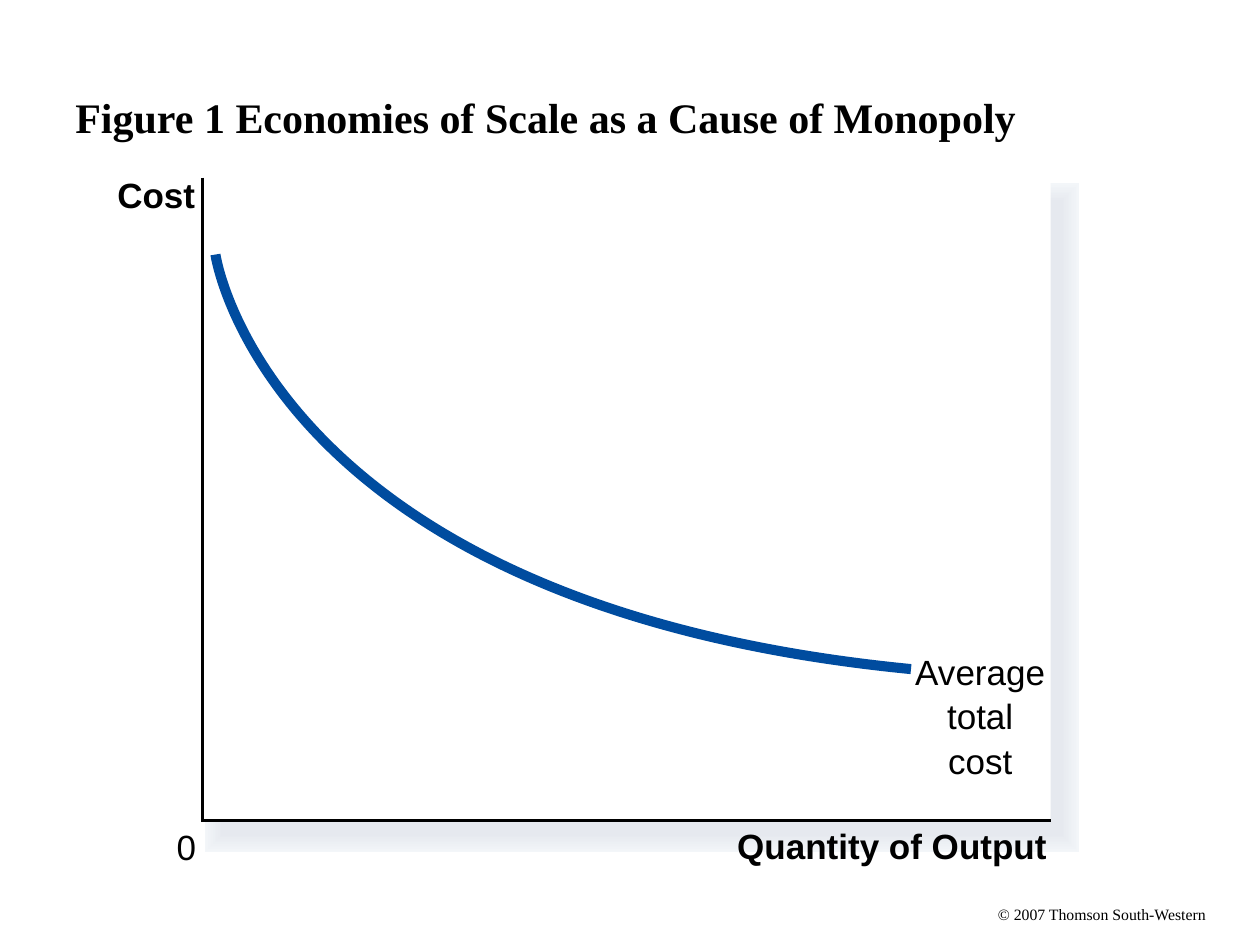
import pptx
import pptx.util
import pptx.dml.color
import pptx.enum.shapes
import pptx.enum.text
import pptx.oxml
import pptx.oxml.ns

Inches = pptx.util.Inches
Pt = pptx.util.Pt
RGBColor = pptx.dml.color.RGBColor
qn = pptx.oxml.ns.qn

BLACK = RGBColor(0x00, 0x00, 0x00)
WHITE = RGBColor(0xFF, 0xFF, 0xFF)
BLUE = RGBColor(0x00, 0x4C, 0x9F)
SHADOW_OUTER = RGBColor(0xF3, 0xF6, 0xF9)
SHADOW_INNER = RGBColor(0xE6, 0xE9, 0xEF)
SHADOW_STEPS = 11


def add_text(slide, box, text, size, font="Arial", bold=False, align="CENTER"):
    """Unwrapped single-line label without insets."""
    s = slide.shapes.add_textbox(*map(Inches, box))
    tf = s.text_frame
    tf.margin_left = tf.margin_right = tf.margin_top = tf.margin_bottom = 0
    tf.word_wrap = False
    tf.text = text
    p = tf.paragraphs[0]
    p.alignment = getattr(pptx.enum.text.PP_ALIGN, align)
    r = p.runs[0]
    r.font.name, r.font.size, r.font.bold = font, Pt(size), bold
    r.font.color.rgb = BLACK
    return s


def add_rect(slide, box, fill, line_width=0):
    s = slide.shapes.add_shape(pptx.enum.shapes.MSO_SHAPE.RECTANGLE, *map(Inches, box))
    s.shadow.inherit = False
    s.fill.solid()
    s.fill.fore_color.rgb = fill
    if line_width:
        set_line(s, fill, line_width)
    else:
        s.line.fill.background()
    return s


def set_line(s, color, width):
    """Solid line with sharp corners."""
    s.line.color.rgb = color
    s.line.width = Pt(width)
    miter = pptx.oxml.parse_xml(
        '<a:miter xmlns:a="http://schemas.openxmlformats.org/drawingml/2006/main" lim="800000"/>')
    s.line._get_or_add_ln().append(miter)


def add_outline(slide, points, color, width):
    """Open, unfilled freeform through the points."""
    emu = [(Inches(x), Inches(y)) for x, y in points]
    builder = slide.shapes.build_freeform(*emu[0])
    builder.add_line_segments(emu[1:], close=False)
    s = builder.convert_to_shape()
    s.shadow.inherit = False
    s.fill.background()
    set_line(s, color, width)
    return s


def add_curve(slide, points, color, width):
    """Cubic curve: start, two control points, end."""
    s = add_outline(slide, points, color, width)
    segments = list(s._element.iter(qn("a:lnTo")))
    curve = pptx.oxml.parse_xml(
        '<a:cubicBezTo xmlns:a="http://schemas.openxmlformats.org/drawingml/2006/main"/>')
    segments[0].addprevious(curve)
    for segment in segments:
        curve.append(segment[0])
        segment.getparent().remove(segment)
    return s


def add_title(slide, box):
    s = add_text(slide, box, "Figure 1 Economies of Scale as a Cause of Monopoly",
                 24, "Times New Roman", True, "LEFT")
    tf = s.text_frame
    tf.word_wrap = True
    tf.margin_left = tf.margin_right = Inches(0.1)
    tf.vertical_anchor = pptx.enum.text.MSO_ANCHOR.MIDDLE


def add_panel(slide, box):
    """White plot area on a soft shadow made of narrowing outlines."""
    x, y, w, h = box
    for i in range(SHADOW_STEPS):
        t = i / (SHADOW_STEPS - 1)
        color = RGBColor(*(round(a + (b - a) * t)
                           for a, b in zip(SHADOW_OUTER, SHADOW_INNER)))
        add_rect(slide, (x + 0.16, y + 0.19, w - 0.08, h - 0.08), color, 20.86 - 1.9 * i)
    add_rect(slide, box, WHITE)


def add_graph(slide, box):
    x, y, w, h = box
    bottom, right = y + h, x + w
    add_panel(slide, box)

    # Axes and their labels
    add_outline(slide, [(x, y), (x, bottom), (right, bottom)], BLACK, 1.87)
    add_text(slide, (right - 2.5, bottom + 0.03, 2.48, 0.33), "Quantity of Output", 20, bold=True)
    add_text(slide, (x - 0.22, bottom + 0.04, 0.18, 0.33), "0", 20)
    add_text(slide, (x - 0.69, y - 0.03, 0.64, 0.33), "Cost", 20, bold=True)

    # Average total cost curve, with its label stacked at the end
    start = (x + 0.1, y + 0.61)
    add_curve(slide, [start, start, (x + 0.5, y + 3.4), (x + 5.62, y + 3.9)], BLUE, 5.75)
    for i, (word, width) in enumerate([("Average", 1.06), ("total", 0.56), ("cost", 0.56)]):
        add_text(slide, (x + 6.17 - width / 2, y + 3.75 + 0.355 * i, width, 0.33), word, 20)


def main():
    prs = pptx.Presentation()
    prs.slide_width, prs.slide_height = Inches(10), Inches(7.5)
    slide = prs.slides.add_slide(prs.slide_layouts[6])
    add_text(slide, (7.92, 7.18, 1.66, 0.15), "© 2007 Thomson South-Western",
             9, "Times New Roman", align="LEFT")
    add_title(slide, (0.5, 0.3, 9, 1.25))
    add_graph(slide, (1.61, 1.41, 6.73, 5.1))
    prs.save("out.pptx")


if __name__ == "__main__":
    main()
